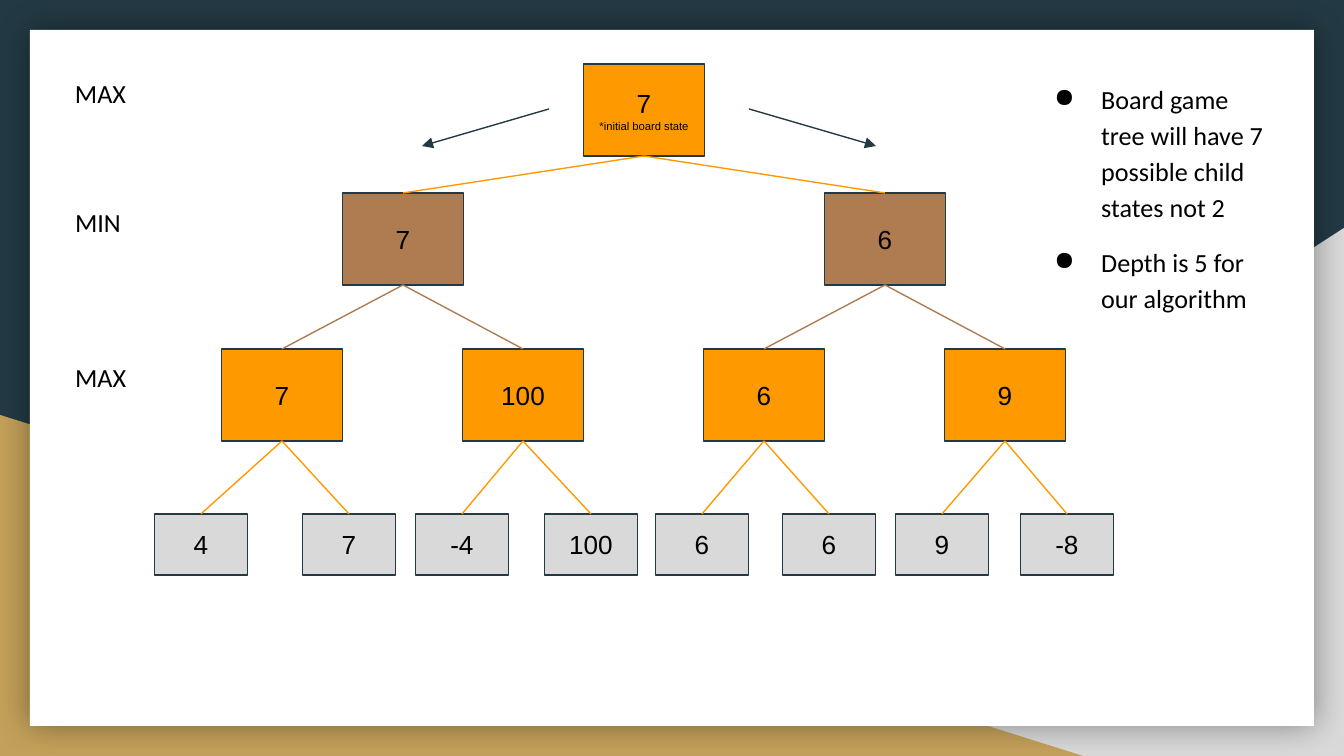
from lxml import etree
from pptx import Presentation, util as u
from pptx.dml.color import RGBColor
from pptx.enum import shapes, text
from pptx.oxml.ns import qn

PX = 914400 / 134.4
NAVY, GOLD, GRAY, WHITE, BLACK = "233A44", "C4A15A", "D9D9D9", "FFFFFF", "000000"
ORANGE, BROWN = "FF9900", "AF7B51"
INSET = 13

# Each level: top, width, height, fill, nodes as (centre x, value)
LEVELS = [
    (64, 121, 92, ORANGE, [(644, "7")]),
    (193, 121, 92, BROWN, [(403, "7"), (885, "6")]),
    (349, 121, 92, ORANGE, [(282, "7"), (523, "100"), (764, "6"), (1005, "9")]),
    (514, 93, 61, GRAY, [(201, "4"), (349, "7"), (462, "-4"), (591, "100"),
                         (702, "6"), (829, "6"), (942, "9"), (1067, "-8")]),
]
ROOT_NOTE = "*initial board state"
LABELS = [("MAX", 64, 116), ("MIN", 193, 81), ("MAX", 348, 81)]
ARROWS = [((549, 109), (422, 146)), ((749, 109), (876, 146))]
NOTES = ["Board game tree will have 7 possible child states not 2",
         "Depth is 5 for our algorithm"]


def px(*values):
    return [u.Emu(round(value * PX)) for value in values]


def color(value):
    return RGBColor.from_string(value)


def add_xml(parent, tag, **attributes):
    return etree.SubElement(parent, qn(tag), attributes)


def add_block(page, kind, area, fill, outline=None):
    block = page.shapes.add_shape(kind, *px(*area))
    block.shadow.inherit = False
    block.fill.solid()
    block.fill.fore_color.rgb = color(fill)
    if outline:
        block.line.color.rgb = color(outline)
        block.line.width = u.Pt(0.75)
    else:
        block.line.fill.background()
    return block


def add_line(page, start, end, stroke):
    line = page.shapes.add_connector(shapes.MSO_CONNECTOR.STRAIGHT, *px(*start, *end))
    line.line.color.rgb = color(stroke)
    line.line.width = u.Pt(0.75)
    add_xml(line.element.spPr, "a:effectLst")
    return line


def write(shape, lines, font):
    """Fill a shape with paragraphs given as (wording, size in points)."""
    frame = shape.text_frame
    frame.word_wrap = True
    frame.margin_left, frame.margin_right, frame.margin_top, frame.margin_bottom = px(*[INSET] * 4)
    frame.text = "\n".join(wording for wording, size in lines)
    for para, (wording, size) in zip(frame.paragraphs, lines):
        span = para.runs[0]
        span.font.name = font
        span.font.size = u.Pt(size)
        span.font.color.rgb = color(BLACK)
    return frame


def add_text(page, area, wordings):
    box = page.shapes.add_textbox(*px(*area))
    frame = write(box, [(wording, 14) for wording in wordings], "Calibri")
    frame.auto_size = text.MSO_AUTO_SIZE.SHAPE_TO_FIT_TEXT
    return frame


def add_backdrop(page):
    page.background.fill.solid()
    page.background.fill.fore_color.rgb = color(NAVY)
    triangle = shapes.MSO_SHAPE.RIGHT_TRIANGLE
    corner = add_block(page, triangle, (527, 228, 817, 528), GRAY)
    corner.element.spPr.find(qn("a:xfrm")).set("flipH", "1")
    add_block(page, triangle, (0, 415, 1083, 341), GOLD)
    card = add_block(page, shapes.MSO_SHAPE.RECTANGLE, (30, 30, 1284, 696), WHITE)
    effects = card.element.spPr.find(qn("a:effectLst"))
    shadow = add_xml(effects, "a:outerShdw", blurRad=str(u.Pt(18)), dist="0", dir="0",
                     algn="ctr", rotWithShape="0")
    add_xml(add_xml(shadow, "a:srgbClr", val=BLACK), "a:alpha", val="40000")


def add_tree(page):
    tree = []
    for top, width, height, fill, nodes in LEVELS:
        row = []
        for centre, value in nodes:
            area = (centre - width / 2, top, width, height)
            node = add_block(page, shapes.MSO_SHAPE.RECTANGLE, area, fill, NAVY)
            lines = [(value, 14)] if tree else [(value, 14), (ROOT_NOTE, 6)]
            frame = write(node, lines, "Arial")
            frame.vertical_anchor = text.MSO_ANCHOR.MIDDLE
            for para in frame.paragraphs:
                para.alignment = text.PP_ALIGN.CENTER
            row.append(node)
        tree.append(row)

    for level, parents, children in zip(LEVELS, tree, tree[1:]):
        for index, child in enumerate(children):
            branch = add_line(page, (0, 0), (0, 0), level[3])
            branch.begin_connect(parents[index // 2], 2)  # bottom middle
            branch.end_connect(child, 0)  # top middle


def add_notes_list(page):
    frame = add_text(page, (1021, 66, 265, 259), NOTES)
    for para in frame.paragraphs:
        para.line_spacing = 1.15
        para.space_before = u.Pt(10)
        properties = para._p.get_or_add_pPr()
        properties.set("marL", str(u.Inches(0.5)))
        properties.set("indent", str(u.Inches(-0.35)))
        add_xml(add_xml(properties, "a:buClr"), "a:srgbClr", val=BLACK)
        add_xml(properties, "a:buChar", char="●")


def main():
    deck = Presentation()
    deck.slide_width, deck.slide_height = px(1344, 756)
    page = deck.slides.add_slide(deck.slide_layouts[6])
    add_backdrop(page)
    add_tree(page)
    for wording, top, width in LABELS:
        add_text(page, (62, top, width, 59), [wording])
    for start, end in ARROWS:
        arrow = add_line(page, start, end, NAVY)
        add_xml(arrow.line._get_or_add_ln(), "a:tailEnd", type="triangle")
    add_notes_list(page)
    deck.save("out.pptx")


if __name__ == "__main__":
    main()
